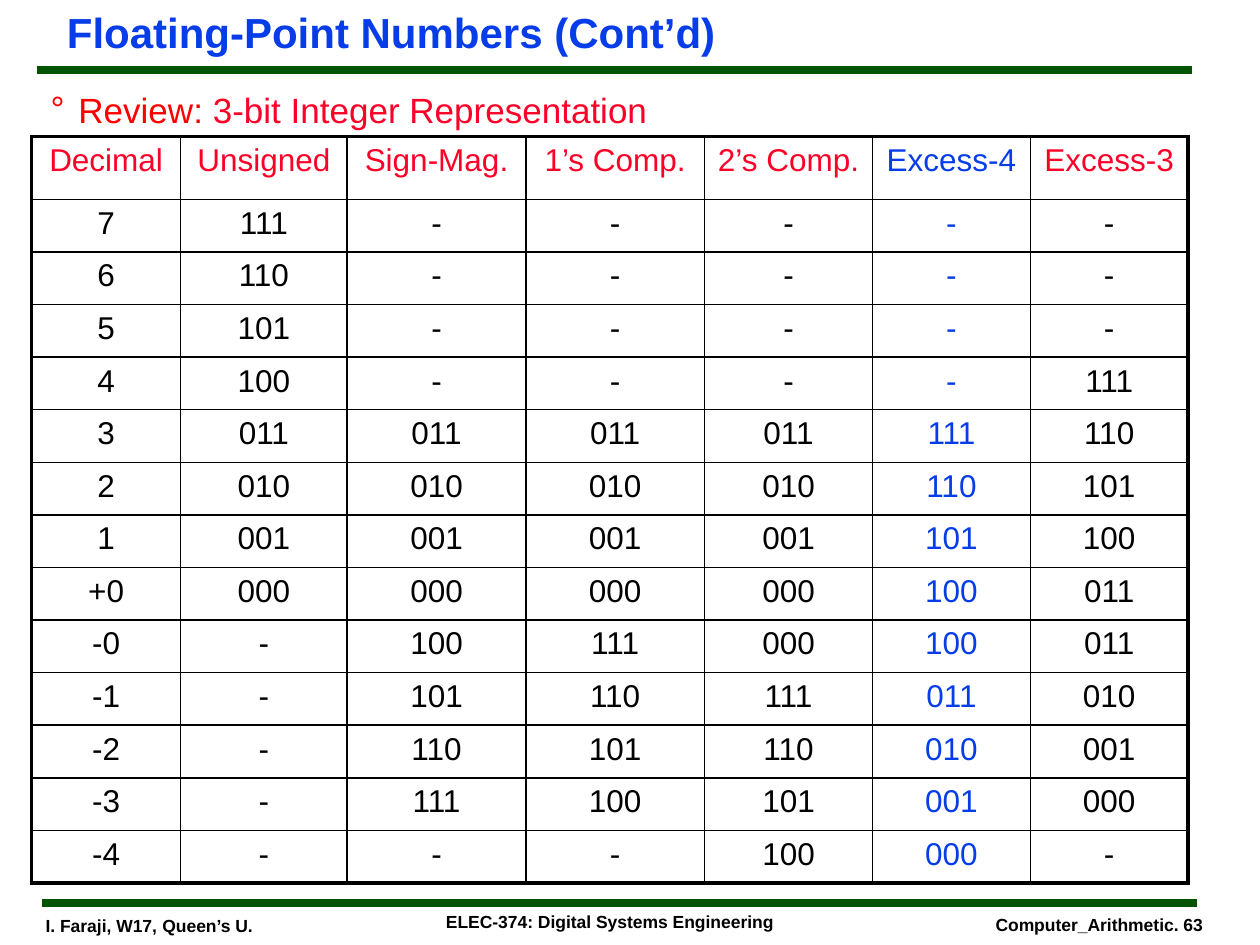
from dataclasses import dataclass

from lxml.etree import SubElement
from pptx import Presentation
from pptx.dml.color import RGBColor
from pptx.enum.shapes import MSO_CONNECTOR
from pptx.enum.text import MSO_ANCHOR, MSO_AUTO_SIZE, PP_ALIGN
from pptx.oxml.ns import qn
from pptx.util import Cm, Pt

HUES = {
    "ink": "000000",
    "blue": "063DE8",
    "red": "FF0000",
    "rose": "FC0128",
    "green": "005400",
}

TIGHT = {
    "margin_left": Cm(0.18),
    "margin_right": Cm(0.18),
    "margin_top": Cm(0.08),
    "margin_bottom": Cm(0.08),
    "vertical_anchor": MSO_ANCHOR.TOP,
    "auto_size": MSO_AUTO_SIZE.SHAPE_TO_FIT_TEXT,
    "word_wrap": True,
}
LOOSE = {
    "margin_right": Cm(0.56),
    "auto_size": MSO_AUTO_SIZE.NONE,
    "word_wrap": True,
}
CELL = {
    "margin_left": Cm(0.2),
    "margin_right": Cm(0.2),
    "vertical_anchor": MSO_ANCHOR.TOP,
}


@dataclass
class Box:
    left: float
    top: float
    width: float
    height: float


@dataclass
class Run:
    text: str
    size: float
    hue: str = "ink"
    bold: bool = False


@dataclass
class Note:
    box: Box
    runs: list[Run]
    look: dict
    align: PP_ALIGN = PP_ALIGN.LEFT


@dataclass
class Rule:
    left: float
    top: float
    width: float = 23.29


NOTES = [
    Note(Box(0.74, 18.34, 5.21, 0.61),
         [Run("I. Faraji, W17,", 10, bold=True), Run(" ", 11, bold=True),
          Run("Queen’s U.", 10, bold=True)], TIGHT),
    Note(Box(19.89, 18.34, 4.62, 0.56),
         [Run("Computer_Arithmetic. 63", 10, bold=True)], TIGHT),
    Note(Box(8.15, 18.24, 8.59, 0.84),
         [Run("ELEC-374: Digital Systems Engineering", 10, bold=True)],
         LOOSE, PP_ALIGN.CENTER),
]
TITLE = Note(Box(1.17, 0.2, 13.54, 1.04),
             [Run("Floating-Point Numbers (Cont’d)", 24, "blue", True)],
             {**TIGHT, "word_wrap": False})
BODY = Note(Box(0.84, 1.7, 23.14, 0.99),
            [Run("Review: ", 20, "red"),
             Run("3-bit Integer Representation", 20, "rose")], TIGHT)
RULES = [Rule(0.74, 1.42), Rule(0.84, 18.21)]

HEADS = ["Decimal", "Unsigned", "Sign-Mag.", "1’s Comp.", "2’s Comp.",
         "Excess-4", "Excess-3"]
CODES = """
7 111 - - - - -
6 110 - - - - -
5 101 - - - - -
4 100 - - - - 111
3 011 011 011 011 111 110
2 010 010 010 010 110 101
1 001 001 001 001 101 100
+0 000 000 000 000 100 011
-0 - 100 111 000 100 011
-1 - 101 110 111 011 010
-2 - 110 101 110 010 001
-3 - 111 100 101 001 000
-4 - - - 100 000 -
"""
WIDTHS = [3, 3.36, 3.6, 3.6, 3.39, 3.18, 3.18]
TALL, ROW = 1.27, 1.06
THICK, THIN = 2.25, 1


def style(item, look: dict) -> None:
    for name, value in look.items():
        setattr(item, name, value)


def write(para, runs: list[Run], align: PP_ALIGN) -> None:
    style(para, {"alignment": align, "space_before": Pt(0)})
    for part in runs:
        run = para.add_run()
        run.text = part.text
        style(run.font, {"name": "Arial", "size": Pt(part.size),
                         "bold": part.bold})
        run.font.color.rgb = RGBColor.from_string(HUES[part.hue])


def place(shape, note: Note) -> None:
    box = note.box
    style(shape, {"left": Cm(box.left), "top": Cm(box.top),
                  "width": Cm(box.width), "height": Cm(box.height)})
    style(shape.text_frame, note.look)
    write(shape.text_frame.paragraphs[0], note.runs, note.align)


def bullet(para, sign: str, indent: float) -> None:
    props = para._p.get_or_add_pPr()
    props.set("marL", str(Cm(indent)))
    props.set("indent", str(-Cm(indent)))
    SubElement(props, qn("a:buChar")).set("char", sign)


def draw(shapes, rule: Rule) -> None:
    line = shapes.add_connector(
        MSO_CONNECTOR.STRAIGHT, Cm(rule.left), Cm(rule.top),
        Cm(rule.left + rule.width), Cm(rule.top))
    line.line.color.rgb = RGBColor.from_string(HUES["green"])
    line.line.width = Pt(4.5)
    SubElement(line._element.spPr, qn("a:effectLst"))


def edge(cell, sides: dict[str, float]) -> None:
    props = cell._tc.get_or_add_tcPr()
    for side, width in sides.items():
        line = SubElement(props, qn(f"a:ln{side}"))
        line.set("w", str(Pt(width)))
        fill = SubElement(line, qn("a:solidFill"))
        SubElement(fill, qn("a:srgbClr")).set("val", HUES["ink"])


def grid(shapes, left: float, top: float) -> None:
    data = [HEADS] + [row.split() for row in CODES.strip().splitlines()]
    last, end = len(data) - 1, len(HEADS) - 1
    table = shapes.add_table(
        len(data), len(HEADS), Cm(left), Cm(top),
        Cm(sum(WIDTHS)), Cm(TALL + ROW * last)).table
    style(table, {"first_row": False, "horz_banding": False})
    for col, width in zip(table.columns, WIDTHS):
        col.width = Cm(width)
    for r, row in enumerate(data):
        table.rows[r].height = Cm(ROW if r else TALL)
        for c, text in enumerate(row):
            cell = table.cell(r, c)
            style(cell, CELL)
            edge(cell, {"L": THIN if c else THICK,
                        "R": THICK if c == end else THIN,
                        "T": THIN if r else THICK,
                        "B": THICK if r == last else THIN})
            cell.fill.background()
            plain = "ink" if r else "rose"
            hue = "blue" if HEADS[c] == "Excess-4" else plain
            write(cell.text_frame.paragraphs[0], [Run(text, 18, hue)],
                  PP_ALIGN.CENTER)


def main() -> None:
    deck = Presentation()
    style(deck, {"slide_width": Cm(25.4), "slide_height": Cm(19.05)})
    slide = deck.slides.add_slide(deck.slide_layouts[1])
    shapes = slide.shapes
    title, body = shapes.title, slide.placeholders[1]
    place(title, TITLE)
    title.text_frame.paragraphs[0].line_spacing = 0.87
    place(body, BODY)
    bullet(body.text_frame.paragraphs[0], "°", 0.56)
    for rule in RULES:
        draw(shapes, rule)
    for note in NOTES:
        place(shapes.add_textbox(0, 0, 0, 0), note)
    grid(shapes, 0.64, 2.75)
    deck.save("out.pptx")


if __name__ == "__main__":
    main()
